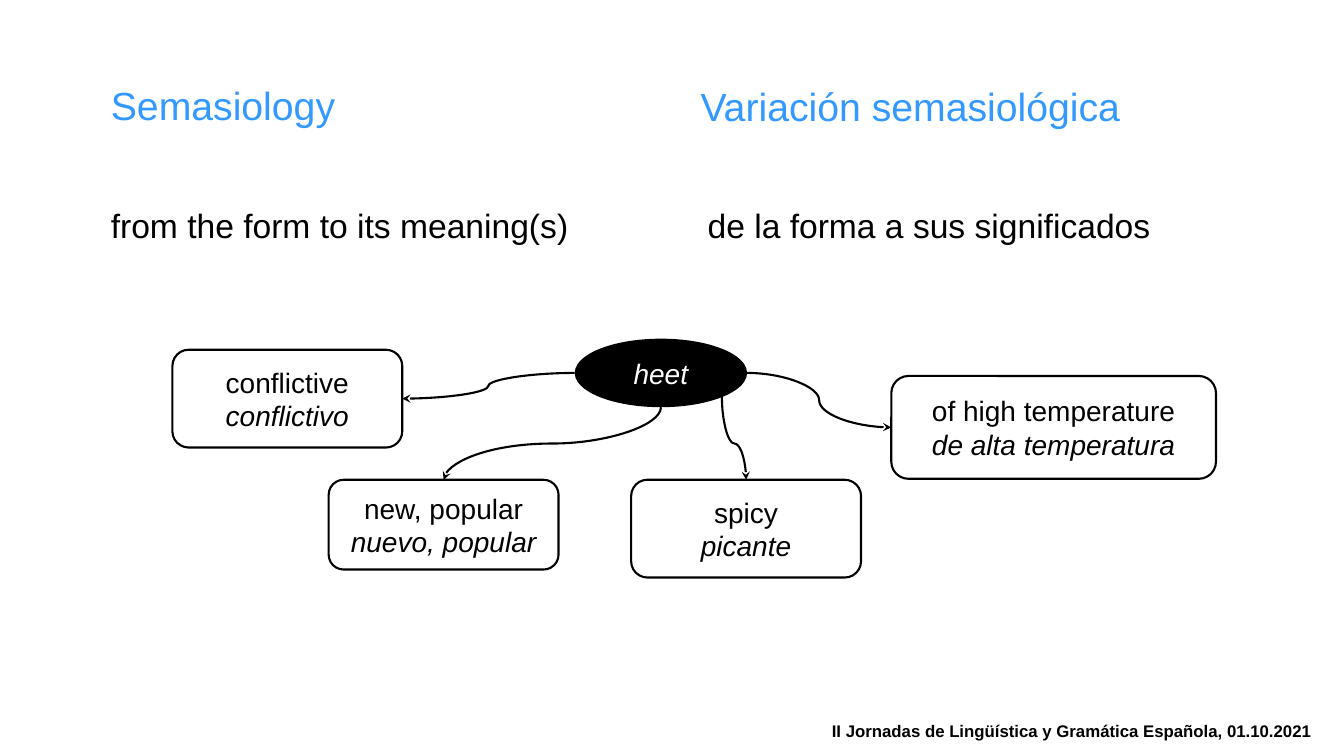
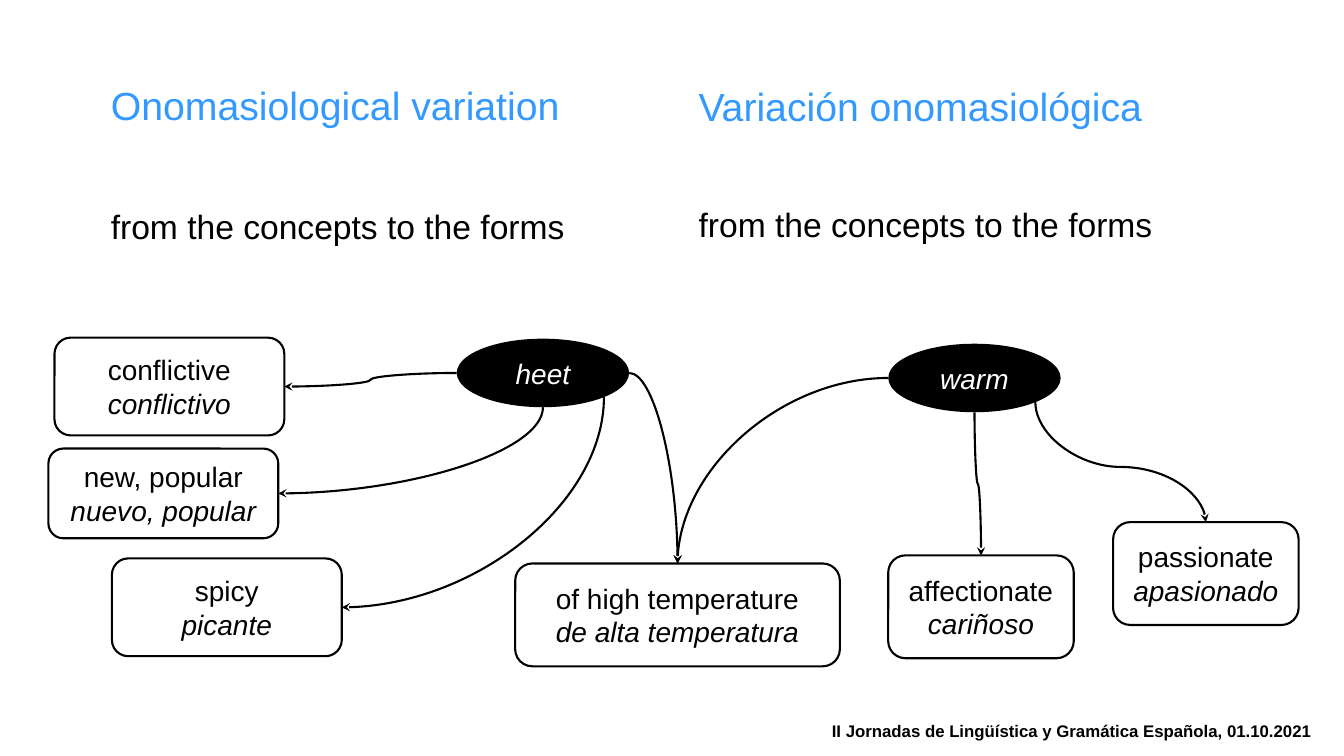
import math

import lxml.etree
import pptx
import pptx.dml.color
import pptx.enum.shapes
import pptx.enum.text
import pptx.oxml.ns
import pptx.util

Inches = pptx.util.Inches
Pt = pptx.util.Pt
ALIGN = pptx.enum.text.PP_ALIGN
ANCHOR = pptx.enum.text.MSO_ANCHOR
SHAPE = pptx.enum.shapes.MSO_SHAPE
qn = pptx.oxml.ns.qn

FONT = "Arial"
BLUE, BLACK, WHITE = "3399FF", "000000", "FFFFFF"
FOOTER = "II Jornadas de Lingüística y Gramática Española, 01.10.2021"

# Connection sites: eight around an oval (counterclockwise from the top), four on a box
OVAL_LEFT, OVAL_BOTTOM, OVAL_LOWER_RIGHT, OVAL_RIGHT = 2, 4, 5, 6
BOX_TOP, BOX_LEFT, BOX_RIGHT = 0, 1, 3

# English meaning: Spanish meaning, box width, box height
MEANINGS = {
    "conflictive": ("conflictivo", 2.28, 0.97),
    "new, popular": ("nuevo, popular", 2.28, 0.89),
    "spicy": ("picante", 2.28, 0.97),
    "of high temperature": ("de alta temperatura", 3.22, 1.02),
    "affectionate": ("cariñoso", 1.84, 1.02),
    "passionate": ("apasionado", 1.84, 1.02),
}


def color(hex_string):
    return pptx.dml.color.RGBColor.from_string(hex_string)


class Deck:
    def __init__(self):
        self.presentation = pptx.Presentation()
        self.presentation.slide_width = Inches(13.33)
        self.presentation.slide_height = Inches(7.5)
        self.slide = None

    def set_text(self, shape, lines, size, ink, align=ALIGN.LEFT, anchor=ANCHOR.MIDDLE,
                 bold=False, italics=(False,), before=0, inset=0.05):
        """Fill a shape with one paragraph per line."""
        frame = shape.text_frame
        frame.word_wrap = True
        frame.auto_size = pptx.enum.text.MSO_AUTO_SIZE.NONE
        frame.vertical_anchor = anchor
        frame.margin_left = frame.margin_right = Inches(0.1)
        frame.margin_top = frame.margin_bottom = Inches(inset)
        frame.text = "\n".join(lines)
        for paragraph, italic in zip(frame.paragraphs, italics):
            paragraph.alignment = align
            paragraph.space_before = Pt(before)
            font = paragraph.font
            font.name, font.size, font.bold, font.italic = FONT, Pt(size), bold, italic
            font.color.rgb = color(ink)

    def text_box(self, left, top, width, height):
        return self.slide.shapes.add_textbox(
            Inches(left), Inches(top), Inches(width), Inches(height))

    def start(self, english, spanish, spanish_left):
        """Add a slide with its two headings and the footer."""
        self.slide = self.presentation.slides.add_slide(
            self.presentation.slide_layouts[5])
        title = self.slide.shapes.title
        title.left, title.top = Inches(1), Inches(0.42)
        title.width, title.height = Inches(5.67), Inches(1.25)
        self.set_text(title, [english], 28, BLUE)
        self.set_text(self.text_box(spanish_left, 0.42, 5.67, 1.25), [spanish], 28, BLUE)
        self.set_text(self.text_box(7.89, 7, 5.22, 0.5), [FOOTER], 12, BLACK,
                      align=ALIGN.RIGHT, bold=True)

    def summary(self, text, left, top, width):
        self.set_text(self.text_box(left, top, width, 0.68), [text], 24, BLACK,
                      anchor=ANCHOR.TOP, before=4.8)

    def node(self, preset, left, top, width, height):
        shape = self.slide.shapes.add_shape(
            preset, Inches(left), Inches(top), Inches(width), Inches(height))
        shape.shadow.inherit = False
        return shape

    def form(self, word, left, top):
        """Add the black oval of a word form."""
        oval = self.node(SHAPE.OVAL, left, top, 1.71, 0.68)
        oval.fill.solid()
        oval.fill.fore_color.rgb = color(BLACK)
        oval.line.fill.background()
        self.set_text(oval, [word], 20, WHITE, align=ALIGN.CENTER, italics=(True,), inset=0.1)
        return oval

    def meaning(self, english, left, top):
        """Add the outlined box of a meaning in both languages."""
        spanish, width, height = MEANINGS[english]
        box = self.node(SHAPE.ROUNDED_RECTANGLE, left, top, width, height)
        box.fill.background()
        box.line.color.rgb = color(BLACK)
        box.line.width = Pt(1.5)
        self.set_text(box, [english, spanish], 20, BLACK, align=ALIGN.CENTER,
                      italics=(False, True), inset=0.1)
        return box

    def arrow(self, oval, oval_site, box, box_site, bend=0.5):
        """Join an oval to a box with a curved arrow."""
        angle = math.radians(45 * oval_site)
        start_x = round(oval.left + oval.width / 2 * (1 - math.sin(angle)))
        start_y = round(oval.top + oval.height / 2 * (1 - math.cos(angle)))
        curve = self.slide.shapes.add_connector(
            pptx.enum.shapes.MSO_CONNECTOR.CURVE, start_x, start_y, box.left, box.top)
        lxml.etree.SubElement(curve._element.nvCxnSpPr.cNvCxnSpPr, qn("a:stCxn"),
                              id=str(oval.shape_id), idx=str(oval_site))
        curve.end_connect(box, box_site)

        # A quarter turn for arrows that leave the oval downwards
        leaves_down = oval_site in (OVAL_BOTTOM, OVAL_LOWER_RIGHT)
        properties = curve._element.spPr
        if leaves_down:
            across, down = curve.end_x - start_x, curve.end_y - start_y
            center_x, center_y = start_x + across / 2, start_y + down / 2
            frame = properties.xfrm
            frame.rot = 90 if across < 0 else 270
            frame.flipH, frame.flipV = across >= 0, False
            curve.width, curve.height = down, abs(across)
            curve.left = round(center_x - down / 2)
            curve.top = round(center_y - abs(across) / 2)

        # One turn when the two ends run in different directions
        geometry = properties.find(qn("a:prstGeom"))
        if leaves_down != (box_site == BOX_TOP):
            geometry.set("prst", "curvedConnector2")
        else:
            lxml.etree.SubElement(geometry.find(qn("a:avLst")), qn("a:gd"),
                                  name="adj1", fmla=f"val {round(bend * 100000)}")

        curve.line.color.rgb = color(BLACK)
        curve.line.width = Pt(1.5)
        lxml.etree.SubElement(properties.find(qn("a:ln")), qn("a:tailEnd"), type="stealth")
        lxml.etree.SubElement(properties, qn("a:effectLst"))


def semasiology(deck):
    deck.start("Semasiology", "Variación semasiológica", 6.85)
    deck.summary("from the form to its meaning(s)", 1, 1.98, 4.88)
    deck.summary("de la forma a sus significados", 6.92, 1.98, 5.22)

    heet = deck.form("heet", 5.7, 3.36)
    for english, left, top, oval_site, box_site, bend in (
        ("conflictive", 1.71, 3.47, OVAL_LEFT, BOX_RIGHT, 0.5),
        ("new, popular", 3.26, 4.76, OVAL_BOTTOM, BOX_TOP, 0.5),
        ("spicy", 6.26, 4.76, OVAL_LOWER_RIGHT, BOX_TOP, 0.56),
        ("of high temperature", 8.84, 3.73, OVAL_RIGHT, BOX_LEFT, 0.5),
    ):
        deck.arrow(heet, oval_site, deck.meaning(english, left, top), box_site, bend)


def onomasiology(deck):
    deck.start("Onomasiological variation", "Variación onomasiológica", 6.83)
    deck.summary("from the concepts to the forms", 1, 1.99, 4.88)
    deck.summary("from the concepts to the forms", 6.83, 1.97, 5.22)

    heet = deck.form("heet", 4.53, 3.36)
    warm = deck.form("warm", 8.81, 3.41)
    shared = deck.meaning("of high temperature", 5.11, 5.59)
    deck.arrow(heet, OVAL_RIGHT, shared, BOX_TOP)
    deck.arrow(warm, OVAL_LEFT, shared, BOX_TOP)
    for form, english, left, top, oval_site, box_site, bend in (
        (heet, "conflictive", 0.54, 3.35, OVAL_LEFT, BOX_RIGHT, 0.5),
        (heet, "new, popular", 0.48, 4.45, OVAL_BOTTOM, BOX_RIGHT, 0.5),
        (heet, "spicy", 1.11, 5.54, OVAL_LOWER_RIGHT, BOX_RIGHT, 0.5),
        (warm, "affectionate", 8.81, 5.51, OVAL_BOTTOM, BOX_TOP, 0.5),
        (warm, "passionate", 11.04, 5.18, OVAL_LOWER_RIGHT, BOX_TOP, 0.54),
    ):
        deck.arrow(form, oval_site, deck.meaning(english, left, top), box_site, bend)


def main():
    deck = Deck()
    semasiology(deck)
    onomasiology(deck)
    deck.presentation.save("out.pptx")


if __name__ == "__main__":
    main()
